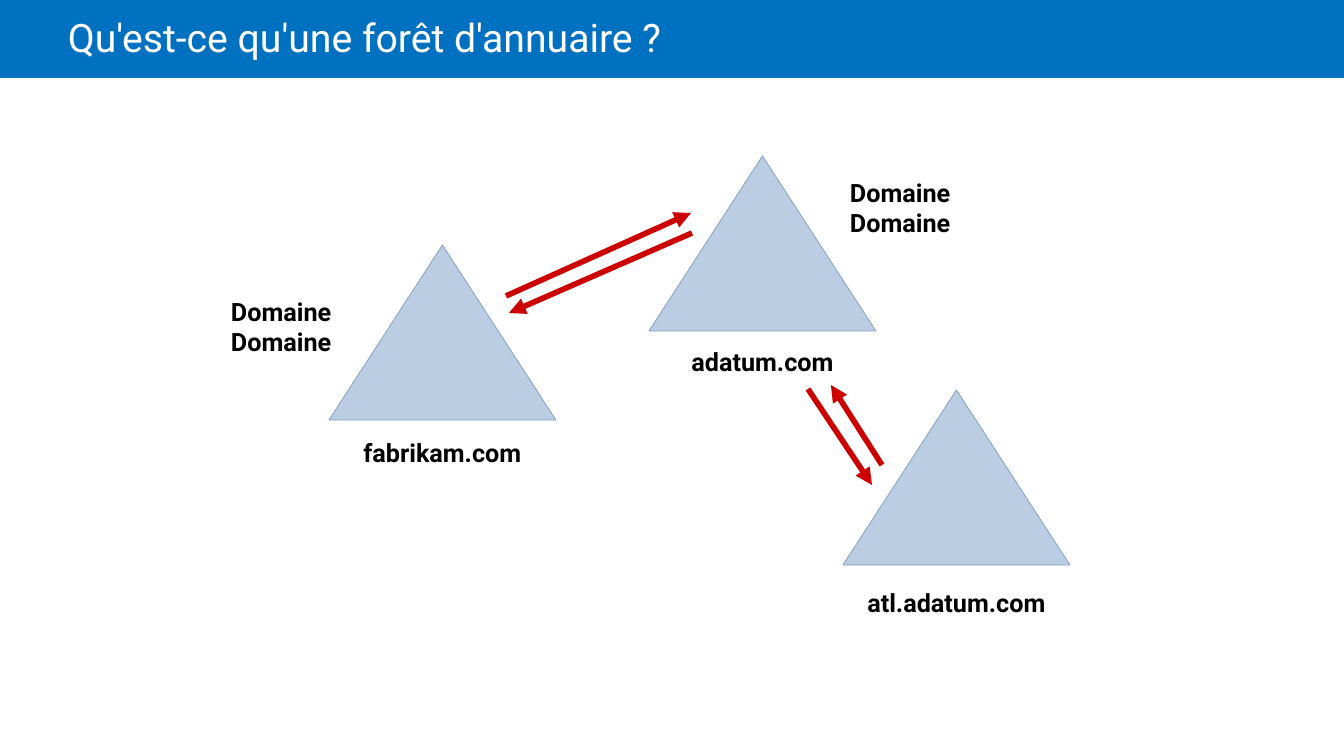
from lxml import etree
from pptx import Presentation
from pptx.dml.color import RGBColor
from pptx.enum.shapes import MSO_CONNECTOR, MSO_SHAPE
from pptx.enum.text import MSO_ANCHOR, PP_ALIGN
from pptx.oxml.ns import qn
from pptx.util import Pt

EMU_PER_PX = 914400 / 100.8
FONT = "Roboto"
COLORS = {
    "banner": "0070C0",
    "title": "FFFFFF",
    "label": "000000",
    "domain_fill": "BBCDE3",
    "domain_line": "7F9BBC",
    "trust": "CC0000",
}
TRIANGLE_WIDTH, TRIANGLE_HEIGHT = 227, 175
LABEL_HEIGHT = 36

# name, left, top of the triangle, top of its label
DOMAINS = [
    ("fabrikam.com", 329, 245, 434),
    ("adatum.com", 649, 156, 343),
    ("atl.adatum.com", 843, 390, 584),
]
DOMAIN_CAPTIONS = [(221, 293), (840, 174)]
# start and arrow tip of each one-way trust
TRUSTS = [
    ((692, 233), (509, 313)),
    ((506, 296), (691, 213)),
    ((882, 465), (831, 385)),
    ((808, 389), (872, 485)),
]


def px(*lengths):
    return [round(length * EMU_PER_PX) for length in lengths]


def color(name):
    return RGBColor.from_string(COLORS[name])


def add_filled_shape(slide, preset, box, fill, line=None):
    shape = slide.shapes.add_shape(preset, *px(*box))
    shape.shadow.inherit = False
    shape.fill.solid()
    shape.fill.fore_color.rgb = color(fill)
    if line:
        shape.line.color.rgb = color(line)
        shape.line.width = Pt(0.5)
    else:
        shape.line.fill.background()


def add_text(slide, box, lines, size, ink, insets, bold=False, wrap=True,
             align=PP_ALIGN.LEFT, anchor=MSO_ANCHOR.TOP, spacing=None):
    """Write one paragraph per line; insets are left, top, right, bottom."""
    frame = slide.shapes.add_textbox(*px(*box)).text_frame
    frame.word_wrap = wrap
    frame.vertical_anchor = anchor
    (frame.margin_left, frame.margin_top,
     frame.margin_right, frame.margin_bottom) = px(*insets)
    frame.text = "\n".join(lines)
    for paragraph in frame.paragraphs:
        paragraph.alignment = align
        paragraph.line_spacing = spacing
        paragraph.font.name = FONT
        paragraph.font.size = Pt(size)
        paragraph.font.bold = bold
        paragraph.font.color.rgb = color(ink)


def add_label(slide, box, lines, **options):
    add_text(slide, box, lines, 18, "label", (10, 3, 10, 3), bold=True, **options)


def add_domain(slide, name, left, top, label_top):
    add_filled_shape(slide, MSO_SHAPE.ISOSCELES_TRIANGLE,
                     (left, top, TRIANGLE_WIDTH, TRIANGLE_HEIGHT),
                     "domain_fill", "domain_line")
    add_label(slide, (left, label_top, TRIANGLE_WIDTH, LABEL_HEIGHT), [name],
              align=PP_ALIGN.CENTER)


def add_trust_arrow(slide, start, tip):
    connector = slide.shapes.add_connector(MSO_CONNECTOR.STRAIGHT, *px(*start, *tip))
    connector.line.color.rgb = color("trust")
    connector.line.width = Pt(4)
    etree.SubElement(connector.line._get_or_add_ln(), qn("a:tailEnd"), type="triangle")
    etree.SubElement(connector._element.spPr, qn("a:effectLst"))


def main():
    presentation = Presentation()
    presentation.slide_width, presentation.slide_height = px(1344, 756)
    slide = presentation.slides.add_slide(presentation.slide_layouts[6])

    add_filled_shape(slide, MSO_SHAPE.RECTANGLE, (0, 0, 1344, 78), "banner")
    add_text(slide, (68, 0, 1143, 82), ["Qu'est-ce qu'une forêt d'annuaire ?"],
             28, "title", (0, 5, 10, 5), anchor=MSO_ANCHOR.MIDDLE, spacing=0.85)
    for domain in DOMAINS:
        add_domain(slide, *domain)
    for left, top in DOMAIN_CAPTIONS:
        add_label(slide, (left, top, 135, 68), ["Domaine"] * 2, wrap=False)
    for start, tip in TRUSTS:
        add_trust_arrow(slide, start, tip)

    presentation.save("out.pptx")


if __name__ == "__main__":
    main()
